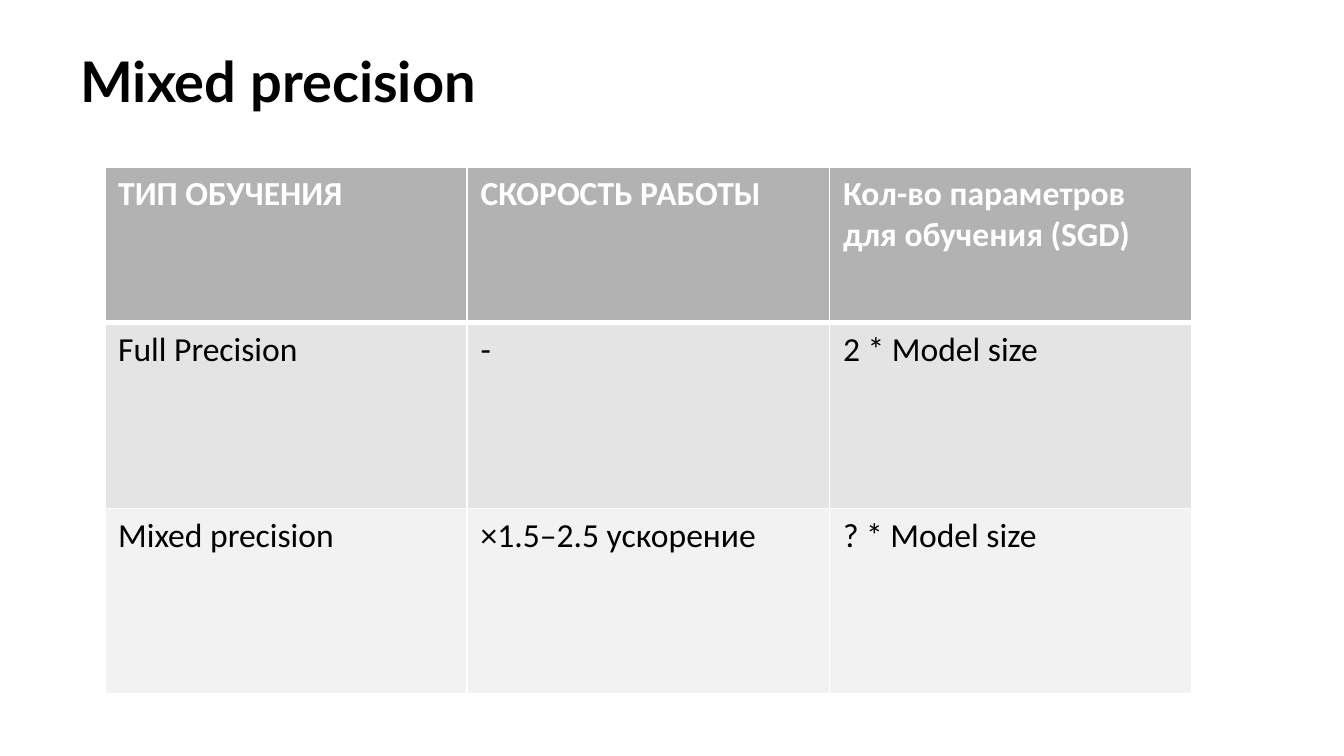
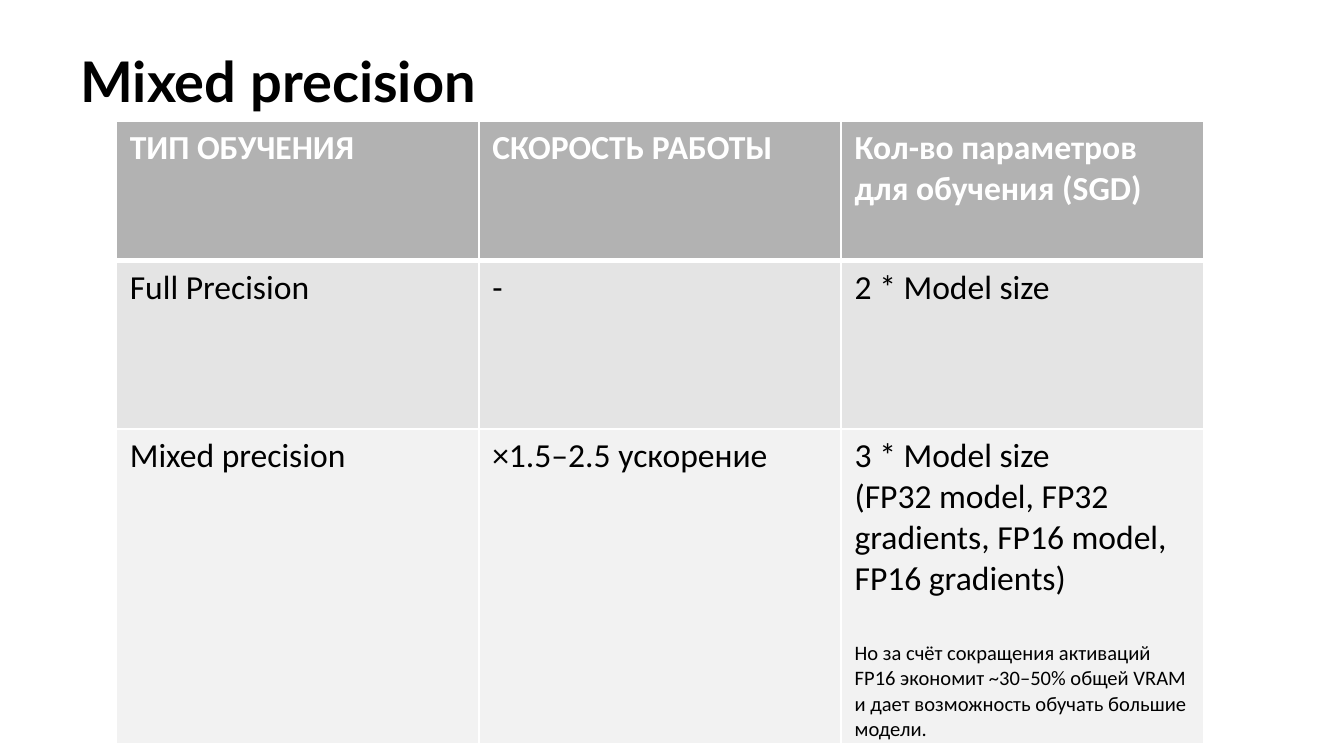
from lxml.etree import SubElement
from pptx import Presentation
from pptx.dml.color import RGBColor
from pptx.enum.text import MSO_ANCHOR
from pptx.oxml.ns import qn
from pptx.util import Cm, Pt

COLORS = {
    "text": "000000",
    "header_text": "FFFFFF",
    "border": "FFFFFF",
    "header": "B2B2B2",
    "full_row": "E4E4E4",
    "mixed_row": "F2F2F2",
}
ROW_FILLS = ["header", "full_row", "mixed_row"]
TITLE_FONT = "Lato"
TABLE_FONT = "Calibri"
COLUMN_WIDTH = 6.85
BODY_SIZE = 18
NOTE_SIZE = 11
NOTE_GAP = 22

HEADER = ["ТИП ОБУЧЕНИЯ", "СКОРОСТЬ РАБОТЫ", "Кол-во параметров для обучения (SGD)"]
FULL_PRECISION = ["Full Precision", "-", "2 * Model size"]
MIXED_PRECISION = ["Mixed precision", "×1.5–2.5 ускорение"]
QUESTION = "? * Model size"
ANSWER = "3 * Model size\n(FP32 model, FP32 gradients, FP16 model, FP16 gradients)"
MEMORY_NOTE = (
    "Но за счёт сокращения активаций FP16 экономит ~30–50% общей VRAM "
    "и дает возможность обучать большие модели."
)


def style_paragraph(paragraph, font_name, size, color, bold=False):
    font = paragraph.font
    font.name = font_name
    font.size = Pt(size)
    font.bold = bold
    font.color.rgb = RGBColor.from_string(COLORS[color])


def add_title(slide, text):
    shape = slide.shapes.add_textbox(Cm(1.27), Cm(0.86), Cm(18.95), Cm(1.47))
    frame = shape.text_frame
    frame.word_wrap = True
    frame.vertical_anchor = MSO_ANCHOR.MIDDLE
    paragraph = frame.paragraphs[0]
    paragraph.text = text
    paragraph.line_spacing = 0.9
    style_paragraph(paragraph, TITLE_FONT, 30, "text", bold=True)


def set_borders(cell, top, bottom):
    """Draw the four cell borders; widths are in points."""
    properties = cell._tc.get_or_add_tcPr()
    for side, width in (("L", 1), ("R", 1), ("T", top), ("B", bottom)):
        line = SubElement(properties, qn(f"a:ln{side}"), w=str(Pt(width)))
        fill = SubElement(line, qn("a:solidFill"))
        SubElement(fill, qn("a:srgbClr"), val=COLORS["border"])


def fill_cell(cell, text, row_index):
    is_header = row_index == 0
    set_borders(cell, top=3 if row_index == 1 else 1, bottom=3 if is_header else 1)
    cell.fill.solid()
    cell.fill.fore_color.rgb = RGBColor.from_string(COLORS[ROW_FILLS[row_index]])
    cell.text_frame.text = text
    color = "header_text" if is_header else "text"
    for paragraph in cell.text_frame.paragraphs:
        style_paragraph(paragraph, TABLE_FONT, BODY_SIZE, color, bold=is_header)


def add_cell_note(cell, text):
    paragraph = cell.text_frame.add_paragraph()
    paragraph.text = text
    paragraph.space_before = Pt(NOTE_GAP)
    style_paragraph(paragraph, TABLE_FONT, NOTE_SIZE, "text")


def add_precision_table(slide, left, top, row_heights, mixed_size):
    rows = [HEADER, FULL_PRECISION, MIXED_PRECISION + [mixed_size]]
    table = slide.shapes.add_table(
        len(rows), len(HEADER), Cm(left), Cm(top),
        Cm(COLUMN_WIDTH * len(HEADER)), Cm(sum(row_heights)),
    ).table
    table.horz_banding = False
    for row_index, (texts, height) in enumerate(zip(rows, row_heights)):
        table.rows[row_index].height = Cm(height)
        for column_index, text in enumerate(texts):
            fill_cell(table.cell(row_index, column_index), text, row_index)
    return table


def add_precision_slide(presentation):
    slide = presentation.slides.add_slide(presentation.slide_layouts[6])
    add_title(slide, "Mixed precision")
    return slide


def main():
    presentation = Presentation()
    presentation.slide_width = Cm(25.4)
    presentation.slide_height = Cm(14.29)

    # Slide 1: the parameter count is left as a question
    slide = add_precision_slide(presentation)
    add_precision_table(slide, 1.98, 3.16, [2.94, 3.51, 3.51], QUESTION)

    # Slide 2: the answer, with a note on memory
    slide = add_precision_slide(presentation)
    table = add_precision_table(slide, 2.2, 2.29, [2.64, 3.18, 5.9], ANSWER)
    add_cell_note(table.cell(2, 2), MEMORY_NOTE)

    presentation.save("out.pptx")


if __name__ == "__main__":
    main()
